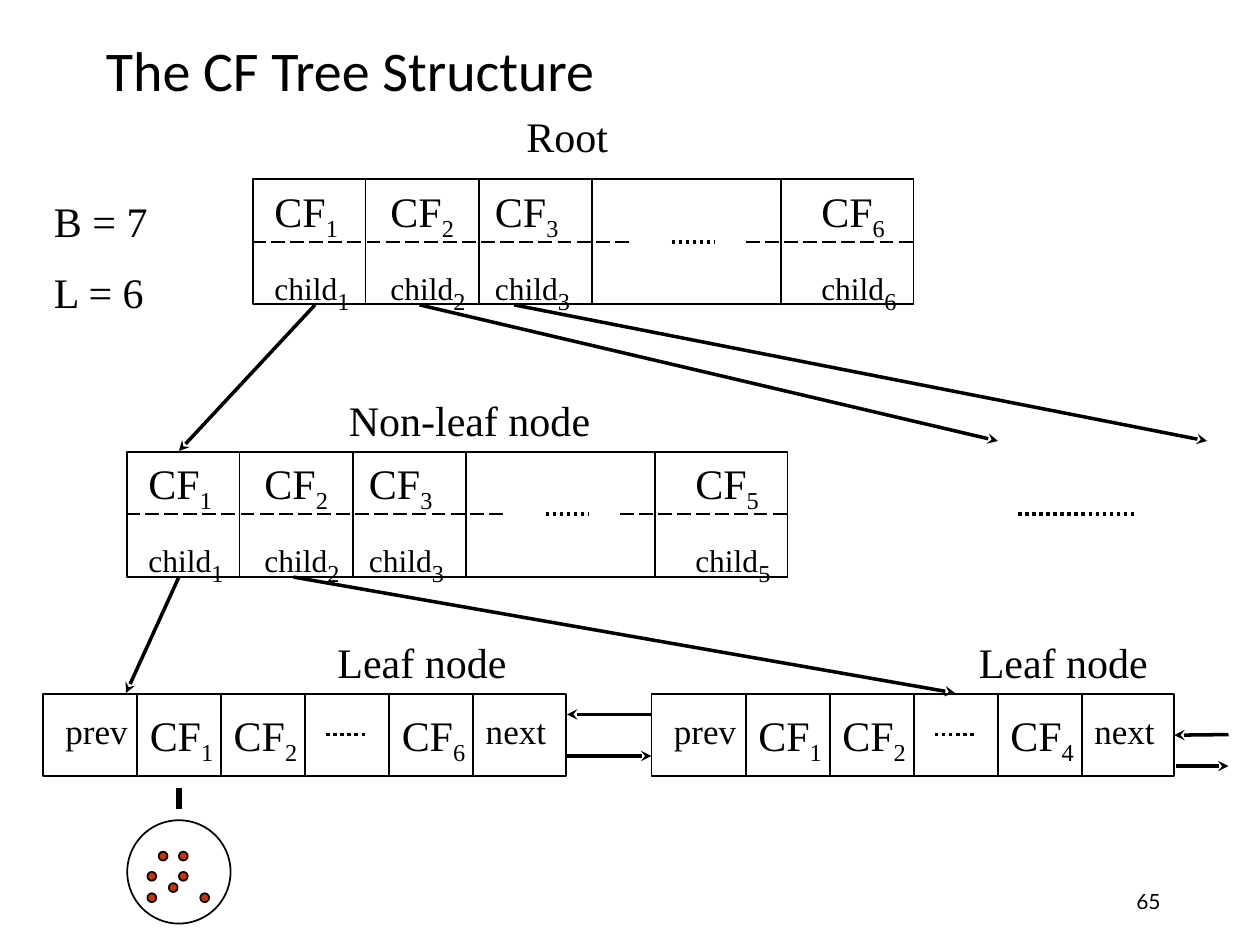
"""Build the slide that explains the CF tree structure."""
import dataclasses

import pptx
import pptx.dml.color
import pptx.enum.dml
import pptx.enum.shapes
import pptx.enum.text
import pptx.oxml
import pptx.oxml.ns
import pptx.util
from pptx.util import Inches


@dataclasses.dataclass(frozen=True)
class Theme:
    ink = pptx.dml.color.RGBColor.from_string("000000")
    point = pptx.dml.color.RGBColor.from_string("CC3300")
    title_font = "Calibri"
    label_font = "Times New Roman"
    number_font = "Lato"
    title_size = 32
    label_size = 24
    link_size = 20
    child_size = 18
    number_size = 12
    thin = 1
    medium = 2
    thick = 3


theme = Theme()
Dash = pptx.enum.dml.MSO_LINE
Shape = pptx.enum.shapes.MSO_SHAPE
deck = pptx.Presentation()
deck.slide_width = Inches(10)
deck.slide_height = Inches(7.5)
page = deck.slides.add_slide(deck.slide_layouts[5])


def add_text(left, top, width, height, text, size=theme.label_size,
             subscript="", font=theme.label_font):
    box = page.shapes.add_textbox(Inches(left), Inches(top), Inches(width), Inches(height))
    box.text_frame.word_wrap = True
    box.text_frame.text = text
    if subscript:
        span = box.text_frame.paragraphs[0].add_run()
        span.text = subscript
        span.font._element.set("baseline", "-25000")
    for para in box.text_frame.paragraphs:
        for span in para.runs:
            span.font.name = font
            span.font.size = pptx.util.Pt(theme.label_size if span.text == subscript else size)
            span.font.color.rgb = theme.ink
    return box


def add_line(start, end, width=theme.thin, dash=None, arrow=False):
    line = page.shapes.add_connector(
        pptx.enum.shapes.MSO_CONNECTOR.STRAIGHT,
        *(Inches(value) for value in (*start, *end)))
    line.line.color.rgb = theme.ink
    line.line.width = pptx.util.Pt(width)
    if dash:
        line.line.dash_style = dash
    if arrow:
        tail = pptx.oxml.parse_xml(f'<a:tailEnd {pptx.oxml.ns.nsdecls("a")} type="stealth"/>')
        line.line._get_or_add_ln().append(tail)
    line._element.spPr.append(
        pptx.oxml.parse_xml(f'<a:effectLst {pptx.oxml.ns.nsdecls("a")}/>'))
    return line


title = page.shapes.title
title.left, title.top = Inches(0.74), Inches(0.25)
title.width, title.height = Inches(8.26), Inches(0.67)
title.text_frame.text = "The CF Tree Structure"
title.text_frame.auto_size = pptx.enum.text.MSO_AUTO_SIZE.NONE
title.text_frame.vertical_anchor = pptx.enum.text.MSO_ANCHOR.MIDDLE
para = title.text_frame.paragraphs[0]
para.alignment = pptx.enum.text.PP_ALIGN.LEFT
para.line_spacing = 0.9
span = para.runs[0]
span.font.name = theme.title_font
span.font.size = pptx.util.Pt(theme.title_size)
span.font.color.rgb = theme.ink

leaf_lefts = (0.34, 5.17)
outlines = [
    (Shape.RECTANGLE, 2.01, 1.42, 5.24, 0.99),
    (Shape.RECTANGLE, 1.01, 3.59, 5.24, 0.99),
    *((Shape.RECTANGLE, left, 5.51, 4.15, 0.65) for left in leaf_lefts),
    (Shape.OVAL, 1.01, 6.51, 0.82, 0.82),
]
points = [(1.26, 6.76), (1.42, 6.92), (1.42, 6.76), (1.17, 7.09),
          (1.17, 6.92), (1.34, 7.01), (1.59, 7.09)]
outlines += [(Shape.OVAL, left, top, 0.07, 0.07) for left, top in points]
nodes = []
for number, (kind, *frame) in enumerate(outlines):
    node = page.shapes.add_shape(kind, *(Inches(value) for value in frame))
    node.shadow.inherit = False
    node.line.color.rgb = theme.ink
    node.line.width = pptx.util.Pt(theme.thin)
    if number < len(outlines) - len(points):
        node.fill.background()
    else:
        node.fill.solid()
        node.fill.fore_color.rgb = theme.point
    nodes.append(node)

for left, top, last in ((2, 1.42, "6"), (1, 3.58, "5")):
    for offset in (0.9, 1.8, 2.7, 4.2):
        add_line((left + offset, top), (left + offset, top + 1))
    middle = top + 0.5
    for begin, end in ((0, 3), (3.92, 5.25)):
        add_line((left + begin, middle), (left + end, middle), dash=Dash.LONG_DASH)
    add_line((left + 3.33, middle), (left + 3.67, middle), theme.medium, Dash.ROUND_DOT)
    for offset, index in ((0.08, "1"), (1, "2"), (1.83, "3"), (4.42, last)):
        add_text(left + offset, top, 0.75, 0.5, "CF", subscript=index)
        add_text(left + offset, top + 0.58, 1, 0.4, "child", theme.child_size, index)

for left, last in zip(leaf_lefts, "64"):
    dividers = [left + 0.75 + 2 / 3 * step for step in range(5)]
    for divider in dividers:
        add_line((divider, 5.5), (divider, 6.17))
    for step, index in ((0, "1"), (1, "2"), (3, last)):
        add_text(dividers[step], 5.58, 0.75, 0.5, "CF", subscript=index)
    add_line((left + 2.25, 5.83), (left + 2.58, 5.83), theme.medium, Dash.ROUND_DOT)
    add_text(left + 0.08, 5.58, 0.75, 0.43, "prev", theme.link_size)
    add_text(dividers[4], 5.58, 0.75, 0.43, "next", theme.link_size)

for start, end in (
    ((2.5, 2.42), (1.42, 3.58)),
    ((3.33, 2.42), (7.92, 3.5)),
    ((4.08, 2.42), (9.58, 3.5)),
    ((1.42, 4.58), (1, 5.5)),
    ((2.33, 4.58), (7.58, 5.5)),
    ((5.17, 5.67), (4.5, 5.67)),
    ((4.5, 6), (5.17, 6)),
    ((9.33, 6.08), (9.75, 6.08)),
):
    add_line(start, end, theme.medium, arrow=True)
incoming = add_line((9.75, 5.83), (9.33, 5.83), theme.medium, arrow=True)
incoming.end_connect(nodes[3], 3)
add_line((8.08, 4.08), (9, 4.08), theme.medium, Dash.ROUND_DOT)
add_line((1.42, 6.25), (1.42, 6.42), theme.thick)

for left, top, width, text in (
    (4.08, 0.83, 1.08, "Root"),
    (2.67, 3.08, 2.17, "Non-leaf node"),
    (2.58, 5, 1.58, "Leaf node"),
    (7.67, 5, 1.58, "Leaf node"),
):
    add_text(left, top, width, 0.5, text)

limits = add_text(0.33, 1.5, 1.17, 1.1, "B = 7\nL = 6")
limits.text_frame.paragraphs[1].space_before = pptx.util.Pt(theme.label_size / 2)

page_number = add_text(7.06, 6.95, 2.25, 0.4, "65", theme.number_size, font=theme.number_font)
page_number.text_frame.vertical_anchor = pptx.enum.text.MSO_ANCHOR.MIDDLE
page_number.text_frame.paragraphs[0].alignment = pptx.enum.text.PP_ALIGN.RIGHT

deck.save("out.pptx")
